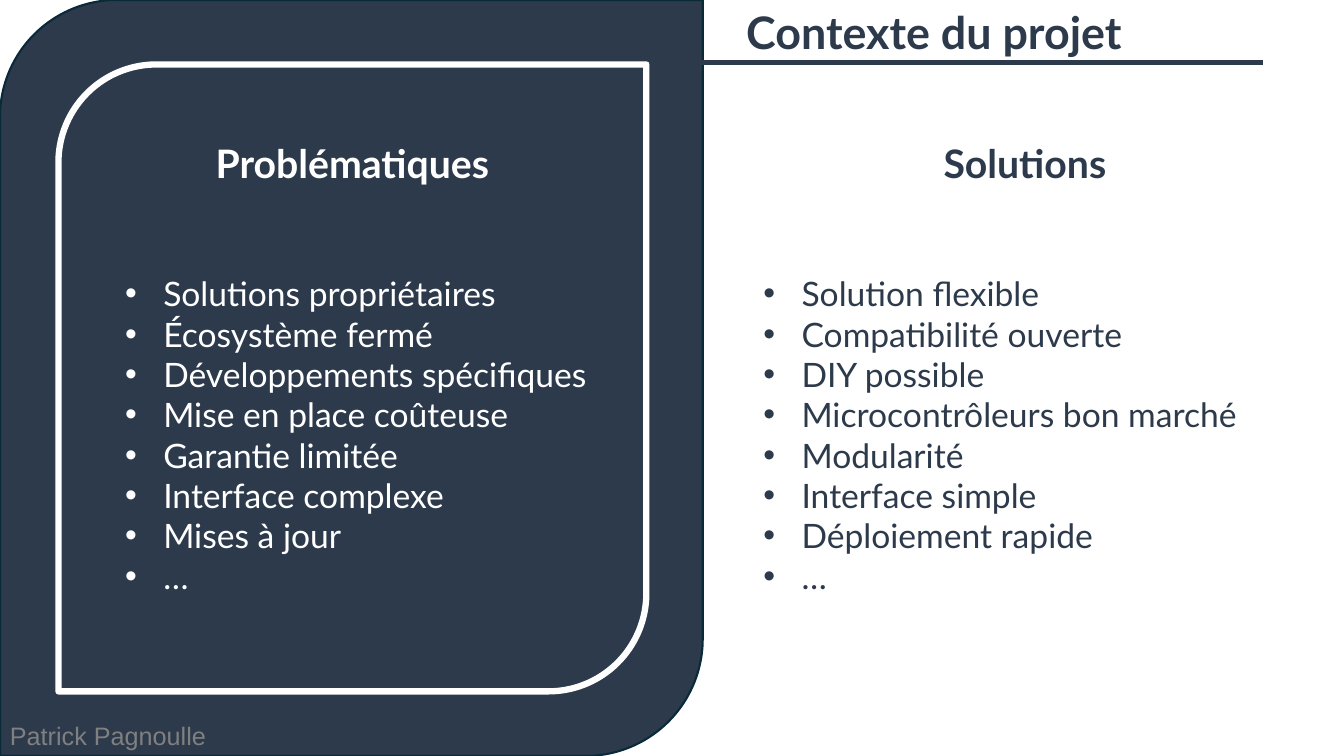
"""Build the project context slide with its problems and solutions."""
from lxml import etree
from pptx import Presentation
from pptx import util as u
from pptx.dml import color
from pptx.enum import shapes, text
from pptx.oxml import ns

HUES = {"navy": "2C3A4B", "edge": "092A39", "white": "FFFFFF", "grey": "808080"}


class Deck:
    """Hold the style and the current slide; lengths are percentages of the slide."""

    def __init__(self):
        self.prs = Presentation()
        self.prs.slide_width = u.Inches(13.33)
        self.prs.slide_height = u.Inches(7.5)
        self.slide = self.prs.slides.add_slide(self.prs.slide_layouts[4])
        self.holds = self.slide.placeholders
        self.back = 2

    def hue(self, name):
        """Return the named colour."""
        return color.RGBColor.from_string(HUES[name])

    def box(self, left, top, width, height):
        """Turn percentages into slide lengths."""
        wide, high = self.prs.slide_width, self.prs.slide_height
        return [int(share * side / 100) for share, side in
                ((left, wide), (top, high), (width, wide), (height, high))]

    def panel(self, area, edge, width):
        """Add a panel with two rounded corners behind the text."""
        kind = shapes.MSO_SHAPE.ROUND_2_DIAG_RECTANGLE
        shape = self.slide.shapes.add_shape(kind, *self.box(*area))
        shape.shadow.inherit = False
        shape.fill.solid()
        shape.fill.fore_color.rgb = self.hue("navy")
        shape.line.color.rgb = self.hue(edge)
        shape.line.width = u.Pt(width)
        self.slide.shapes.element.insert(self.back, shape.element)
        self.back += 1

    def rule(self, left, right, top):
        """Add a horizontal rule."""
        x, y, end, _ = self.box(left, top, right, 0)
        line = self.slide.shapes.add_connector(shapes.MSO_CONNECTOR.STRAIGHT, x, y, end, y)
        line.line.color.rgb = self.hue("navy")
        line.line.width = u.Pt(3)
        etree.SubElement(line.element.spPr, ns.qn("a:effectLst"))

    def place(self, shape, area):
        """Move a text shape and return its frame."""
        shape.left, shape.top, shape.width, shape.height = self.box(*area)
        frame = shape.text_frame
        frame.word_wrap = True
        frame.auto_size = text.MSO_AUTO_SIZE.SHAPE_TO_FIT_TEXT
        frame.vertical_anchor = text.MSO_ANCHOR.TOP
        return frame

    def run(self, para, words, size, hue, bold=False, face="Lato"):
        """Add one styled run."""
        run = para.add_run()
        run.text = words
        run.font.name = face
        run.font.size = u.Pt(size)
        run.font.bold = bold
        run.font.color.rgb = self.hue(hue)

    def title(self, words, area):
        """Fill the title."""
        frame = self.place(self.slide.shapes.title, area)
        frame.margin_left = u.Inches(0.43)
        para = frame.paragraphs[0]
        para.alignment = text.PP_ALIGN.LEFT
        self.run(para, words, 32, "navy", True)

    def head(self, slot, words, area, hue):
        """Fill a centred column heading."""
        para = self.place(self.holds[slot], area).paragraphs[0]
        para.alignment = text.PP_ALIGN.CENTER
        para.space_before = u.Pt(0)
        self.run(para, words, 28, hue, True)

    def bullets(self, slot, items, area, hue):
        """Fill a bulleted list."""
        frame = self.place(self.holds[slot], area)
        for i, item in enumerate(items):
            para = frame.add_paragraph() if i else frame.paragraphs[0]
            para.level = 1
            para.space_before = u.Pt(0)
            props = para._p.get_or_add_pPr()
            props.set("marL", str(u.Inches(0.88)))
            props.set("indent", str(u.Inches(-0.38)))
            etree.SubElement(props, ns.qn("a:buFont")).set("typeface", "Arial")
            etree.SubElement(props, ns.qn("a:buChar")).set("char", "•")
            self.run(para, item, 24, hue)

    def note(self, words, area):
        """Add the author's name."""
        frame = self.place(self.slide.shapes.add_textbox(0, 0, 0, 0), area)
        frame.vertical_anchor = text.MSO_ANCHOR.MIDDLE
        self.run(frame.paragraphs[0], words, 18, "grey", face="Arial")


def main():
    """Compose and save the slide."""
    deck = Deck()
    deck.panel((0, 0, 52.29, 100), "edge", 1.5)
    deck.panel((4.35, 8.53, 43.74, 82.93), "white", 4.5)
    deck.note("Patrick Pagnoulle", (0, 94.67, 39.08, 5.33))
    deck.title("Contexte du projet", (52.29, 0, 47.56, 8.53))
    deck.rule(48.84, 94, 8.27)
    deck.head(1, "Problématiques", (4.35, 17.73, 43.74, 7.6), "white")
    deck.head(3, "Solutions", (52.51, 17.73, 47.49, 7.6), "navy")
    deck.bullets(2, (
        "Solutions propriétaires", "Écosystème fermé", "Développements spécifiques",
        "Mise en place coûteuse", "Garantie limitée", "Interface complexe",
        "Mises à jour", "…"), (4.8, 35.47, 43.29, 44.4), "white")
    deck.bullets(4, (
        "Solution flexible", "Compatibilité ouverte", "DIY possible",
        "Microcontrôleurs bon marché", "Modularité", "Interface simple",
        "Déploiement rapide", "…"), (52.29, 35.47, 47.71, 44.4), "navy")
    deck.prs.save("out.pptx")


if __name__ == "__main__":
    main()
